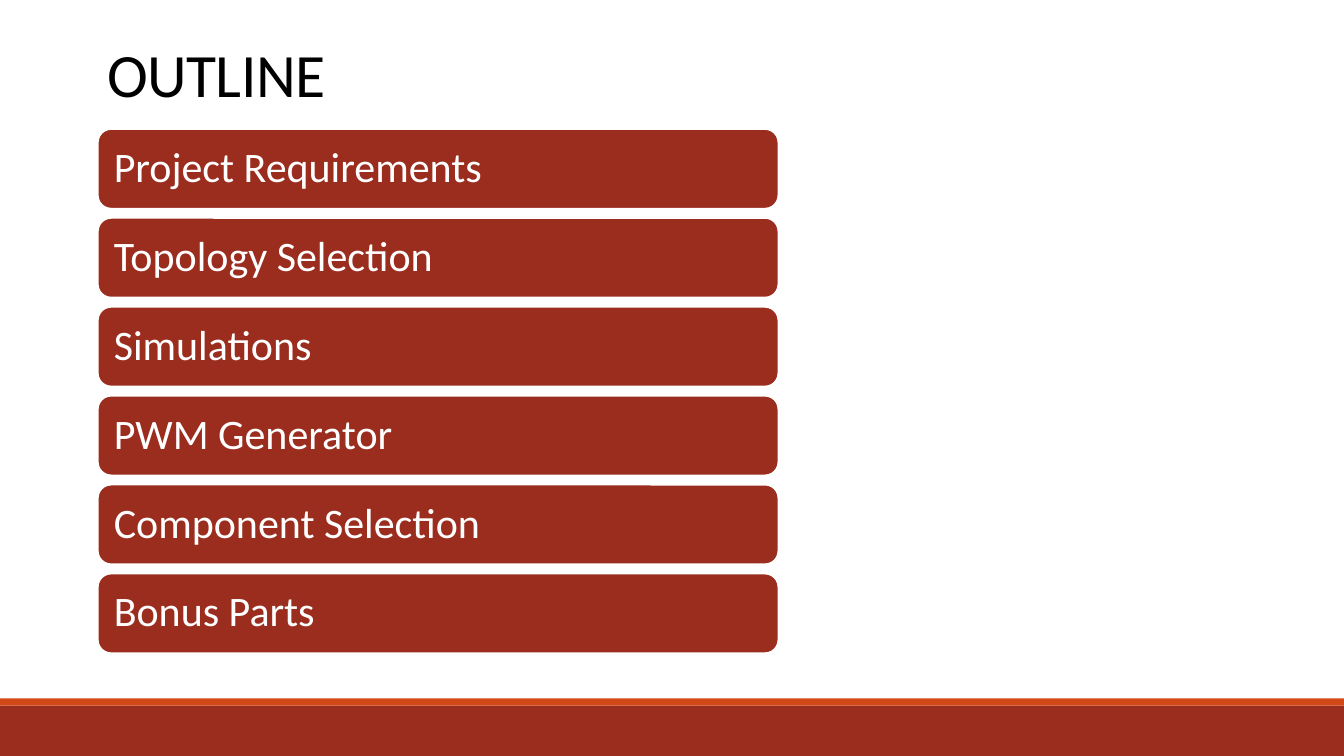
from dataclasses import dataclass

from pptx import Presentation
from pptx.dml.color import RGBColor
from pptx.enum.shapes import MSO_SHAPE as Shape
from pptx.enum.text import MSO_ANCHOR as Anchor, PP_ALIGN as Align
from pptx.util import Inches, Pt

BRICK, ORANGE, WHITE, BLACK = "9B2D1F", "D34817", "FFFFFF", "000000"
SLIDE_WIDTH, SLIDE_HEIGHT = 13.33, 7.5
LEFT = 0.97
FIRST_TOP, LAST_TOP = 1.28, 5.69
TOPICS = ["Project Requirements", "Topology Selection", "Simulations",
          "PWM Generator", "Component Selection", "Bonus Parts"]


@dataclass
class Box:
    left: float
    top: float
    width: float
    height: float

    def lengths(self) -> list:
        return [Inches(v) for v in (self.left, self.top, self.width, self.height)]


def color(hex_value: str) -> RGBColor:
    return RGBColor.from_string(hex_value)


def add_block(slide, kind: Shape, box: Box, fill: str):
    shape = slide.shapes.add_shape(kind, *box.lengths())
    shape.shadow.inherit = False
    shape.fill.solid()
    shape.fill.fore_color.rgb = color(fill)
    shape.line.fill.background()
    return shape


def write_text(shape, text: str, size: float, hex_value: str,
               anchor: Anchor, line_spacing: float):
    frame = shape.text_frame
    frame.text = text
    frame.word_wrap = True
    frame.vertical_anchor = anchor
    paragraph = frame.paragraphs[0]
    paragraph.alignment = Align.LEFT
    paragraph.line_spacing = line_spacing
    run = paragraph.runs[0]
    run.font.name = "Calibri"
    run.font.size = Pt(size)
    run.font.color.rgb = color(hex_value)
    return run


def add_title(slide, text: str) -> None:
    title = slide.shapes.add_textbox(*Box(LEFT, 0.35, 11, 0.79).lengths())
    run = write_text(title, text, 44, BLACK, Anchor.BOTTOM, 0.85)
    run._r.get_or_add_rPr().set("spc", "-50")


def add_topic(slide, text: str, top: float) -> None:
    bar = add_block(slide, Shape.ROUNDED_RECTANGLE, Box(LEFT, top, 6.75, 0.79), BRICK)
    bar.line.color.rgb = color(WHITE)
    bar.line.width = Pt(1.25)
    frame = bar.text_frame
    frame.margin_left = frame.margin_right = Inches(0.12)
    frame.margin_top = frame.margin_bottom = Inches(0.12)
    write_text(bar, text, 30, WHITE, Anchor.MIDDLE, 0.9)


def main() -> None:
    presentation = Presentation()
    presentation.slide_width = Inches(SLIDE_WIDTH)
    presentation.slide_height = Inches(SLIDE_HEIGHT)
    slide = presentation.slides.add_slide(presentation.slide_layouts[6])

    # Footer bands
    add_block(slide, Shape.RECTANGLE, Box(0, 7, SLIDE_WIDTH, 0.5), BRICK)
    add_block(slide, Shape.RECTANGLE, Box(0, 6.93, SLIDE_WIDTH, 0.07), ORANGE)

    # Title and evenly spaced topics
    add_title(slide, "OUTLINE")
    pitch = (LAST_TOP - FIRST_TOP) / (len(TOPICS) - 1)
    for index, topic in enumerate(TOPICS):
        add_topic(slide, topic, FIRST_TOP + index * pitch)

    presentation.save("out.pptx")


if __name__ == "__main__":
    main()
